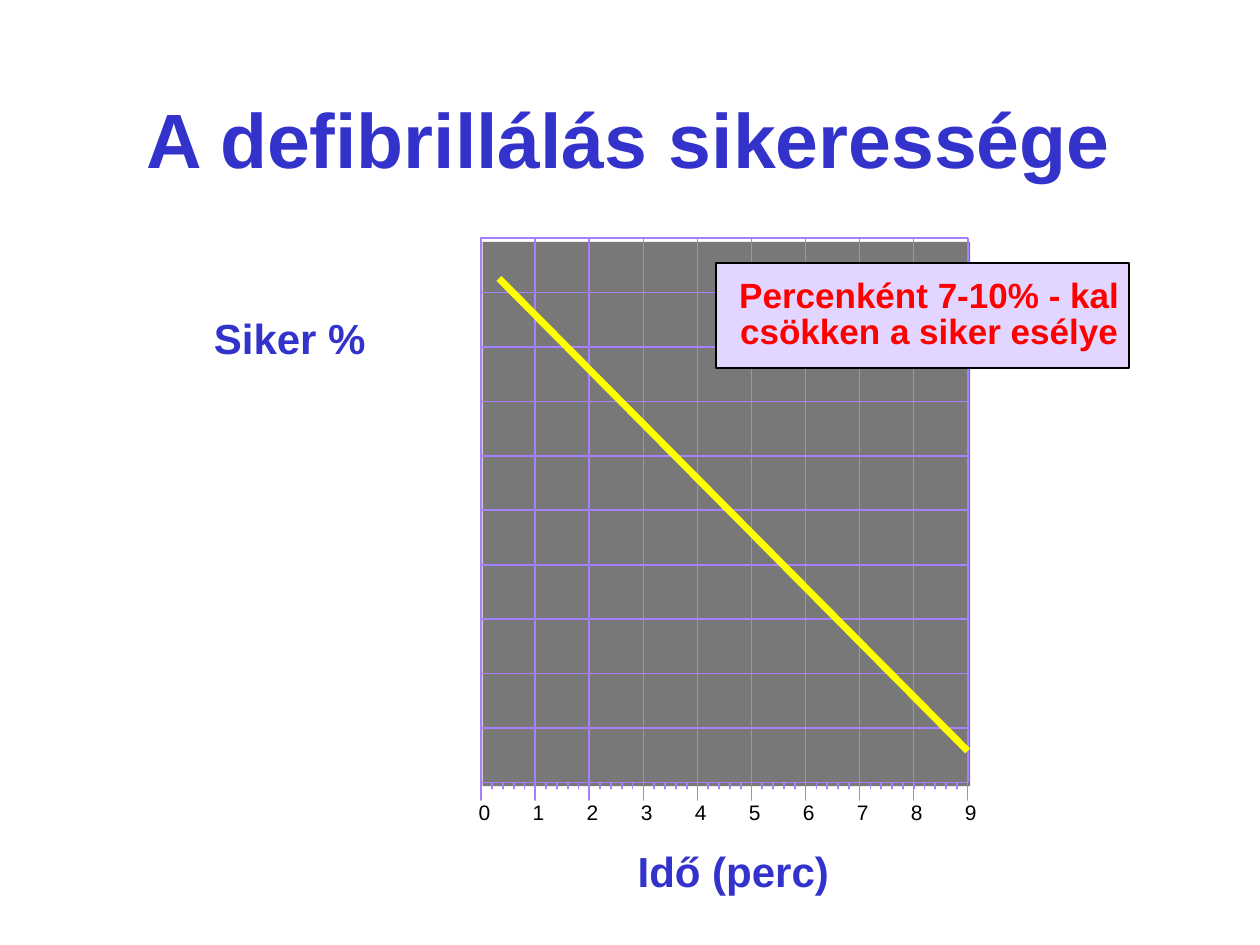
import dataclasses
import typing

import lxml.etree
import pptx
import pptx.dml.color
import pptx.enum.shapes
import pptx.enum.text
import pptx.util

Inches = pptx.util.Inches
Pt = pptx.util.Pt
Point = typing.Tuple[float, float]

HUES = {
    "blue": "3333CC",
    "grid": "A680FF",
    "plot": "787878",
    "note": "E2D5FF",
    "red": "FF0000",
    "trend": "FFFF00",
    "black": "000000",
}
FONT = "Arial"
LEFT, RIGHT, TOP, BASE = 3.82, 7.68, 1.89, 6.21
COLS, ROWS, PARTS = 9, 10, 5
STEP = (RIGHT - LEFT) / COLS
RISE = (BASE - TOP) / ROWS


@dataclasses.dataclass
class Label:
    lines: typing.List[str]
    box: typing.Tuple[float, float, float, float]
    size: float
    pitch: float
    hue: str
    bold: bool = True


@dataclasses.dataclass
class Line:
    start: Point
    end: Point
    hue: str = "grid"
    width: float = 1


@dataclasses.dataclass
class Comb:
    roots: typing.List[Point]
    reach: Point


def tint(name: str) -> pptx.dml.color.RGBColor:
    return pptx.dml.color.RGBColor.from_string(HUES[name])


def add_run(para, text: str, size: float, hue: str, bold: bool) -> None:
    run = para.add_run()
    run.text = text
    run.font.name = FONT
    run.font.size = Pt(size)
    run.font.bold = bold
    run.font.color.rgb = tint(hue)


def draw_label(slide, label: Label) -> None:
    frame = slide.shapes.add_textbox(*map(Inches, label.box)).text_frame
    frame.word_wrap = False
    frame.margin_left = frame.margin_right = Inches(0.02)
    frame.margin_top = frame.margin_bottom = Inches(0.03)
    for row, text in enumerate(label.lines):
        para = frame.add_paragraph() if row else frame.paragraphs[0]
        para.alignment = pptx.enum.text.PP_ALIGN.CENTER
        para.line_spacing = Pt(label.pitch)
        add_run(para, text, label.size, label.hue, label.bold)


def draw_line(slide, line: Line) -> None:
    link = slide.shapes.add_connector(
        pptx.enum.shapes.MSO_CONNECTOR.STRAIGHT,
        *map(Inches, line.start + line.end),
    )
    link.line.color.rgb = tint(line.hue)
    link.line.width = Pt(line.width)
    props = link._element.spPr
    lxml.etree.SubElement(props, pptx.oxml.ns.qn("a:effectLst"))


def draw_comb(slide, comb: Comb) -> None:
    dots = []
    for x, y in comb.roots:
        tip = (x + comb.reach[0], y + comb.reach[1])
        dots += [(x, y), tip, (x, y)]
    pairs = [(Inches(x), Inches(y)) for x, y in dots]
    path = slide.shapes.build_freeform(*pairs[0])
    path.add_line_segments(pairs[1:], close=False)
    shape = path.convert_to_shape()
    shape.shadow.inherit = False
    shape.fill.background()
    shape.line.color.rgb = tint("grid")
    shape.line.width = Pt(1)


def draw_box(slide, box, fill: str, edge: typing.Optional[str] = None) -> None:
    shape = slide.shapes.add_shape(
        pptx.enum.shapes.MSO_SHAPE.RECTANGLE, *map(Inches, box)
    )
    shape.shadow.inherit = False
    shape.fill.solid()
    shape.fill.fore_color.rgb = tint(fill)
    if edge:
        shape.line.color.rgb = tint(edge)
        shape.line.width = Pt(1)
    else:
        shape.line.fill.background()


def set_title(slide, text: str) -> None:
    title = slide.shapes.title
    title.left, title.top = Inches(0.7), Inches(0.26)
    title.width, title.height = Inches(8.58), Inches(1.25)
    frame = title.text_frame
    frame.word_wrap = True
    frame.auto_size = pptx.enum.text.MSO_AUTO_SIZE.NONE
    frame.vertical_anchor = pptx.enum.text.MSO_ANCHOR.BOTTOM
    para = frame.paragraphs[0]
    para.alignment = pptx.enum.text.PP_ALIGN.CENTER
    add_run(para, text, 44, "blue", True)


def main() -> None:
    deck = pptx.Presentation()
    deck.slide_width, deck.slide_height = Inches(10), Inches(7.5)
    slide = deck.slides.add_slide(deck.slide_layouts[5])
    set_title(slide, "A defibrillálás sikeressége")

    draw_box(slide, (3.83, 1.92, 3.87, 4.32), "plot")
    sides = [(LEFT, BASE - row * RISE) for row in range(ROWS + 1)]
    feet = [(LEFT + col * STEP, BASE) for col in range(COLS + 1)]
    minor = [(LEFT + tick * STEP / PARTS, BASE) for tick in range(COLS * PARTS)]
    for comb in (
        Comb(sides, (RIGHT - LEFT, 0)),
        Comb(feet, (0, TOP - BASE)),
        Comb(minor, (0, 0.05)),
        Comb(feet, (0, 0.14)),
    ):
        draw_comb(slide, comb)
    for line in (
        Line((RIGHT, BASE), (RIGHT, TOP)),
        Line((LEFT, TOP), (RIGHT, TOP)),
        Line((LEFT, BASE), (LEFT, TOP)),
        Line((LEFT, BASE), (RIGHT, BASE)),
    ):
        draw_line(slide, line)

    for col in range(COLS + 1):
        box = (3.74 + col * STEP, 6.32, 0.21, 0.33)
        draw_label(slide, Label([str(col)], box, 12, 14, "black", False))
    draw_label(slide, Label(["Siker %"], (1.46, 2.59, 1.68, 0.5), 24, 19, "blue"))
    draw_label(slide, Label(["Idő (perc)"], (4.61, 6.82, 2.42, 0.33), 24, 19, "blue"))

    draw_box(slide, (5.68, 2.09, 3.28, 0.83), "note", "black")
    words = ["Percenként 7-10% - kal", "csökken a siker esélye"]
    draw_label(slide, Label(words, (5.68, 2.18, 3.39, 0.98), 20, 21, "red"))
    draw_line(slide, Line((RIGHT, 5.96), (3.96, 2.21), "trend", 4))

    deck.save("out.pptx")


if __name__ == "__main__":
    main()
